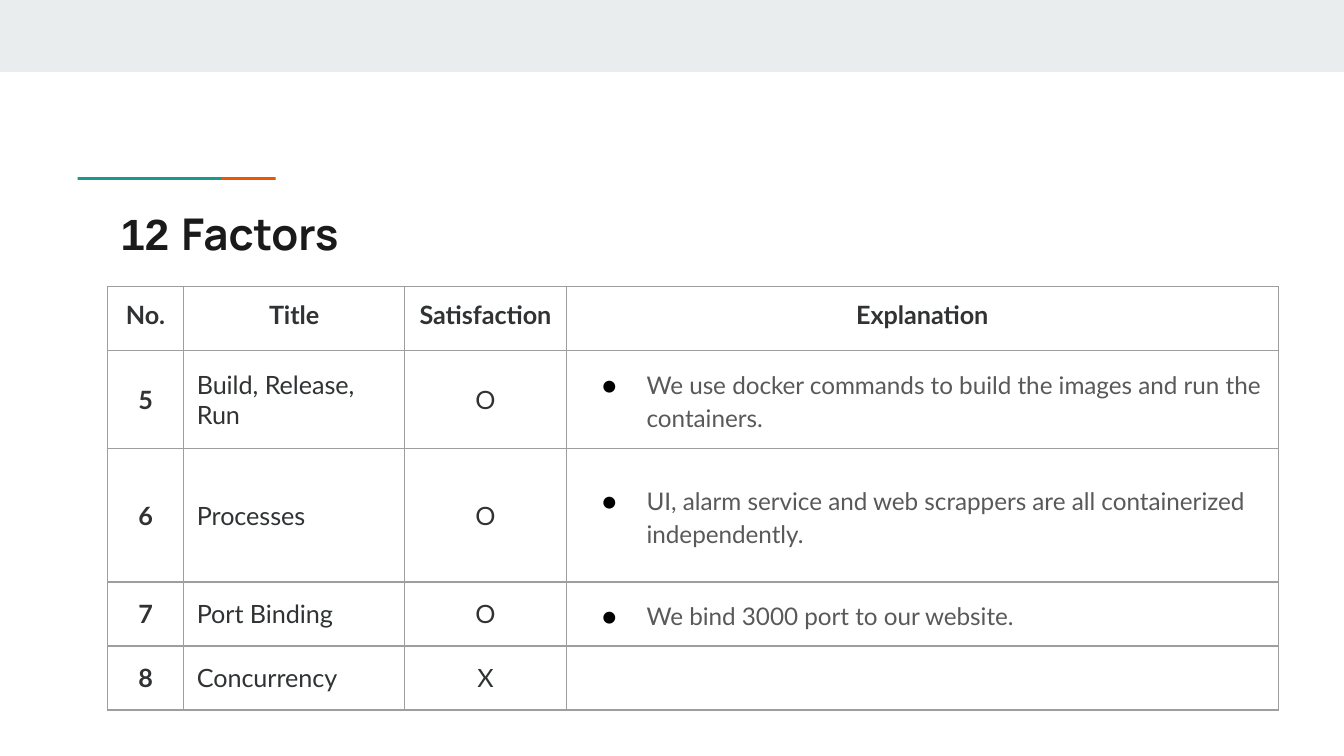
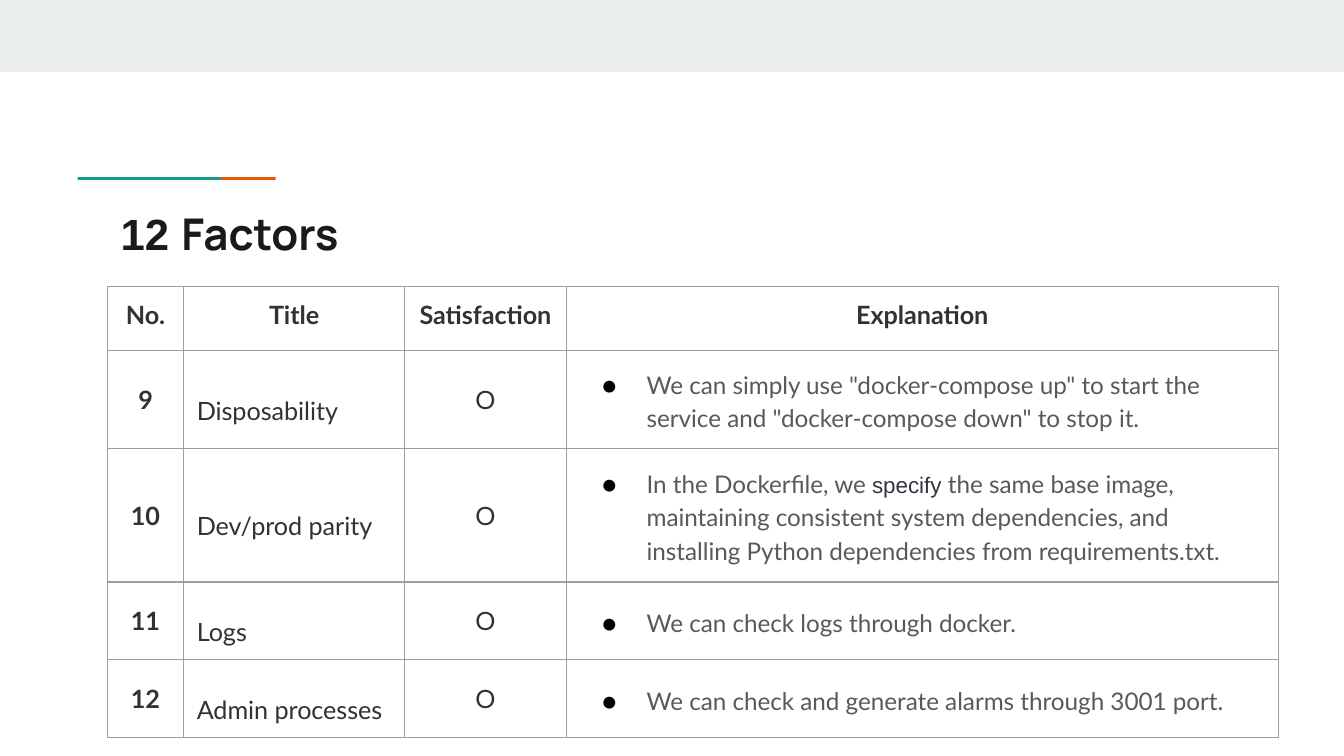
import lxml.etree
import pptx
import pptx.dml.color
import pptx.enum.shapes
import pptx.enum.text
import pptx.oxml.ns
import pptx.util

Cm = pptx.util.Cm
Pt = pptx.util.Pt
qn = pptx.oxml.ns.qn
ALIGN = pptx.enum.text.PP_ALIGN
ANCHOR = pptx.enum.text.MSO_ANCHOR

COLORS = {
    "band": "E9EDEE", "teal": "1A9988", "orange": "EB5600", "title": "1A1A1A",
    "cell": "303233", "explanation": "595959", "emphasis": "343541",
    "border": "9E9E9E", "bullet": "000000",
}

SLIDE_SIZE = (25.4, 14.29)
DECORATIONS = [
    ("band", 0, 0, 25.4, 1.36),
    ("orange", 2.5, 3.35, 2.71, 0.05),
    ("teal", 1.47, 3.35, 2.71, 0.05),
]
TITLE_BOX = {"left": Cm(2.03), "top": Cm(3.66), "width": Cm(21.36), "height": Cm(1.5)}
TABLE_ORIGIN = (2.03, 5.42)
COLUMN_WIDTHS = [1.44, 4.18, 3.05, 13.46]
ROW_HEIGHTS = [1.21, 1.85, 2.52, 1.21, 1.21]
PADDING = 0.25

FONTS = {
    "title number": {"name": "Arial", "size": Pt(23.4), "bold": True, "color": "title"},
    "title word": {"name": "Manrope", "size": Pt(23.4), "bold": True, "color": "title"},
    "strong": {"name": "Lato", "size": Pt(13.5), "bold": True, "color": "cell"},
    "plain": {"name": "Lato", "size": Pt(13.5), "bold": False, "color": "cell"},
    "explanation": {"name": "Lato", "size": Pt(13), "bold": False, "color": "explanation"},
    "emphasis": {"name": "Arial", "size": Pt(12), "bold": False, "color": "emphasis"},
}
CENTERED = {"alignment": ALIGN.CENTER}
LEFT = {"alignment": ALIGN.LEFT}
SPACED = {"alignment": ALIGN.LEFT, "line_spacing": 1.7, "space_before": Pt(5)}
BULLETED = {"alignment": ALIGN.LEFT, "line_spacing": 1.15}

TITLE = [("12 ", "title number"), ("Factors", "title word")]
HEADERS = ["No.", "Title", "Satisfaction", "Explanation"]
SLIDES = [
    (LEFT, [
        ("5", "Build, Release, Run", "O",
         ["We use docker commands to build the images and run the containers."]),
        ("6", "Processes", "O",
         ["UI, alarm service and web scrappers are all containerized independently."]),
        ("7", "Port Binding", "O", ["We bind 3000 port to our website."]),
        ("8", "Concurrency", "X", []),
    ]),
    (SPACED, [
        ("9", "Disposability", "O",
         ['We can simply use "docker-compose up" to start the service and '
          '"docker-compose down" to stop it.']),
        ("10", "Dev/prod parity", "O",
         ["In the Dockerfile, we ", ("specify", "emphasis"),
          " the same base image, maintaining consistent system dependencies, and "
          "installing Python dependencies from requirements.txt."]),
        ("11", "Logs", "O", ["We can check logs through docker."]),
        ("12", "Admin processes", "O",
         ["We can check and generate alarms through 3001 port."]),
    ]),
]


def rgb(color):
    return pptx.dml.color.RGBColor.from_string(COLORS[color])


def apply(target, values):
    for name, value in values.items():
        setattr(target, name, value)


def write(paragraph, runs, layout):
    apply(paragraph, layout)
    for text, style in runs:
        run = paragraph.add_run()
        run.text = text
        values = dict(FONTS[style])
        run.font.color.rgb = rgb(values.pop("color"))
        apply(run.font, values)


def add_xml_color(parent, tag, color):
    holder = lxml.etree.SubElement(parent, qn(tag))
    lxml.etree.SubElement(holder, qn("a:srgbClr"), val=COLORS[color])


def add_bullet(paragraph):
    properties = paragraph._p.get_or_add_pPr()
    properties.set("marL", str(Cm(1.27)))
    properties.set("indent", str(Cm(-0.84)))
    add_xml_color(properties, "a:buClr", "bullet")
    lxml.etree.SubElement(properties, qn("a:buFont"), typeface="Lato")
    lxml.etree.SubElement(properties, qn("a:buChar"), char="●")


def format_cell(cell, anchor):
    margins = ["margin_left", "margin_right", "margin_top", "margin_bottom"]
    apply(cell, dict.fromkeys(margins, Cm(PADDING)))
    cell.vertical_anchor = anchor
    properties = cell._tc.get_or_add_tcPr()
    for side in ("L", "R", "T", "B"):
        line = lxml.etree.SubElement(properties, qn("a:ln" + side), w=str(Pt(0.75)))
        add_xml_color(line, "a:solidFill", "border")
    cell.fill.background()


def decorate_layout(layout, slide):
    for color, *box in DECORATIONS:
        shape = slide.shapes.add_shape(
            pptx.enum.shapes.MSO_SHAPE.RECTANGLE, *map(Cm, box))
        shape.shadow.inherit = False
        shape.fill.solid()
        shape.fill.fore_color.rgb = rgb(color)
        shape.line.fill.background()
        layout.shapes.element.append(shape.element)


def add_title(slide):
    title = slide.shapes.title
    apply(title, TITLE_BOX)
    frame = title.text_frame
    apply(frame, {"margin_left": Cm(PADDING), "margin_right": Cm(PADDING),
                  "margin_top": Cm(PADDING), "margin_bottom": Cm(PADDING),
                  "vertical_anchor": ANCHOR.TOP, "word_wrap": True})
    write(frame.paragraphs[0], TITLE, LEFT)


def add_factor_table(slide, title_layout, factors):
    table = slide.shapes.add_table(
        len(ROW_HEIGHTS), len(COLUMN_WIDTHS), *map(Cm, TABLE_ORIGIN),
        Cm(sum(COLUMN_WIDTHS)), Cm(sum(ROW_HEIGHTS))).table
    apply(table, {"first_row": False, "horz_banding": False})
    for column, width in zip(table.columns, COLUMN_WIDTHS):
        column.width = Cm(width)
    for row, height in zip(table.rows, ROW_HEIGHTS):
        row.height = Cm(height)

    for cell, header in zip(table.rows[0].cells, HEADERS):
        format_cell(cell, ANCHOR.TOP)
        write(cell.text_frame.paragraphs[0], [(header, "strong")], CENTERED)

    for row_index, (number, name, mark, explanation) in enumerate(factors, 1):
        pieces = [(piece, "explanation") if isinstance(piece, str) else piece
                  for piece in explanation]
        contents = [
            ([(number, "strong")], CENTERED),
            ([(name, "plain")], title_layout),
            ([(mark, "plain")], CENTERED),
            (pieces, BULLETED),
        ]
        for cell, (runs, layout) in zip(table.rows[row_index].cells, contents):
            format_cell(cell, ANCHOR.MIDDLE)
            paragraph = cell.text_frame.paragraphs[0]
            write(paragraph, runs, layout)
            if not runs:
                lxml.etree.SubElement(paragraph._p, qn("a:endParaRPr"), sz="1300")
            elif layout is BULLETED:
                add_bullet(paragraph)


def main():
    presentation = pptx.Presentation()
    presentation.slide_width, presentation.slide_height = map(Cm, SLIDE_SIZE)
    layout = presentation.slide_layouts.get_by_name("Title Only")
    for index, (title_layout, factors) in enumerate(SLIDES):
        slide = presentation.slides.add_slide(layout)
        if index == 0:
            decorate_layout(layout, slide)
        add_title(slide)
        add_factor_table(slide, title_layout, factors)
    presentation.save("out.pptx")


if __name__ == "__main__":
    main()
